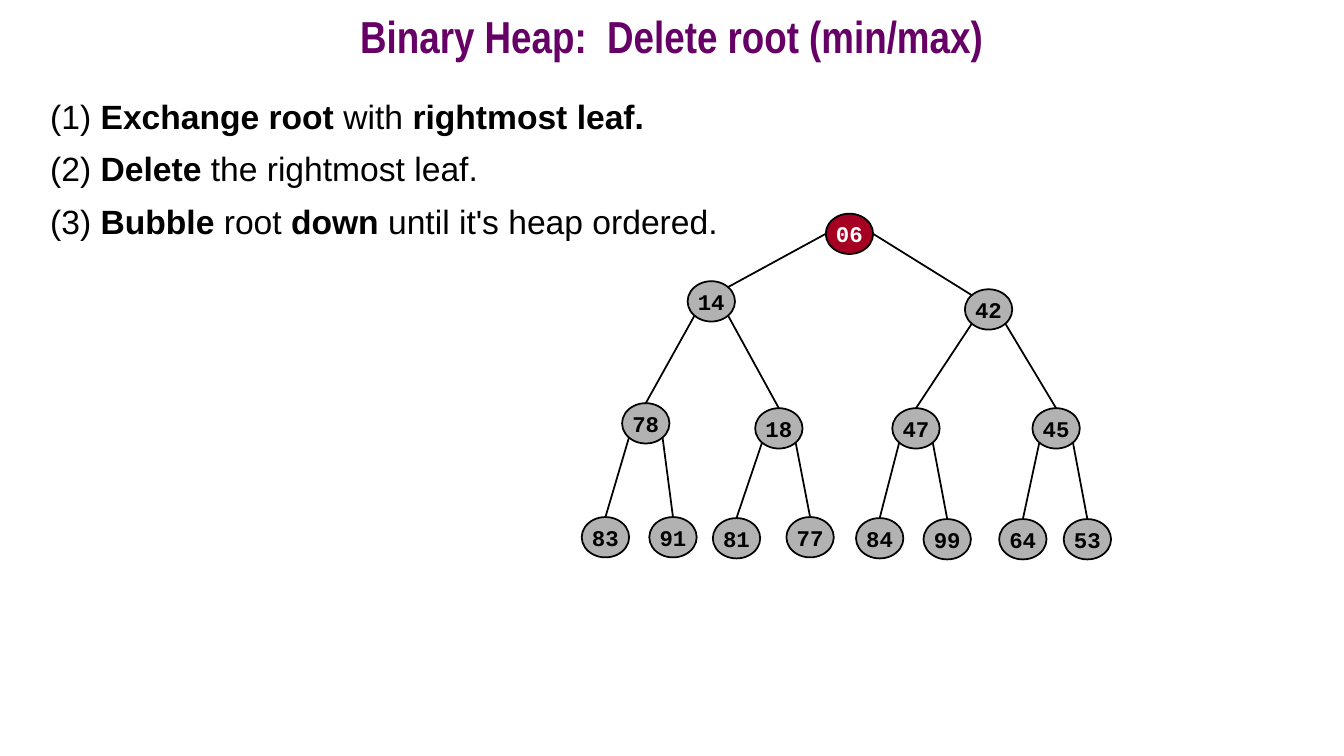
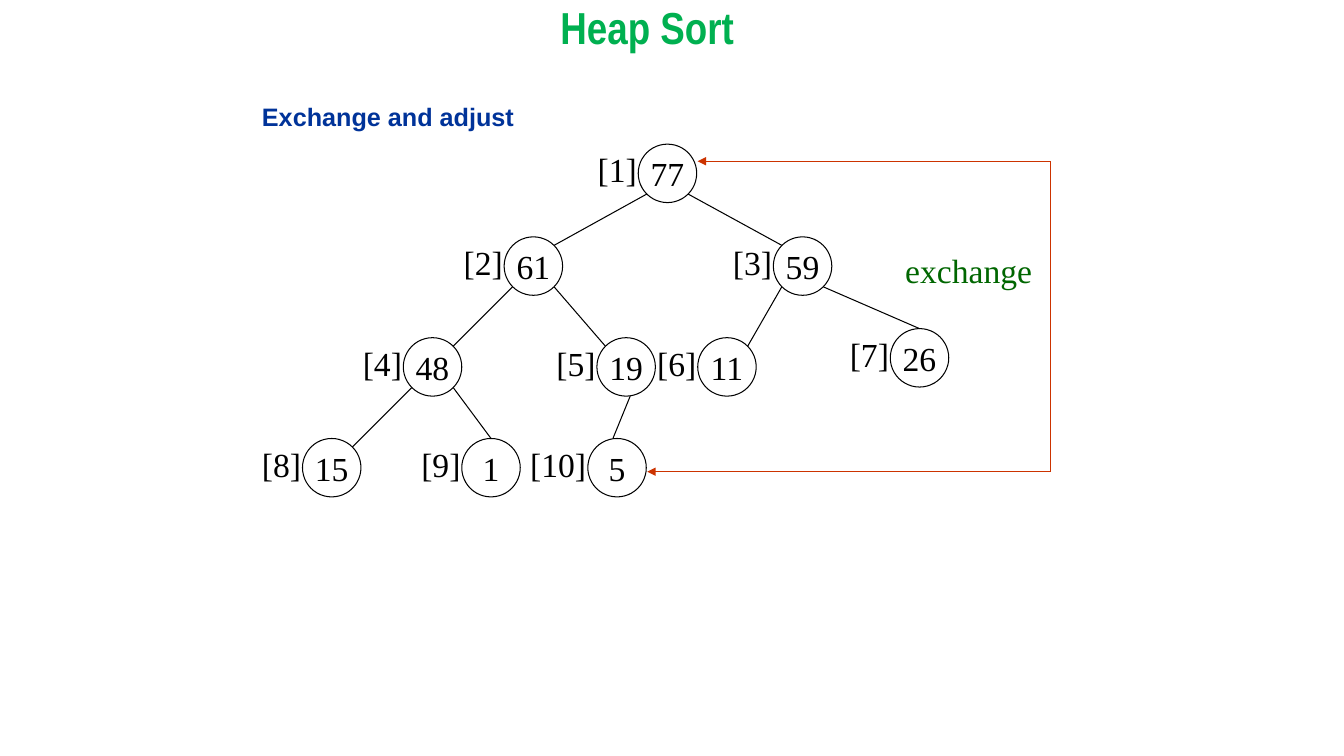
from dataclasses import dataclass

import pptx
import pptx.dml.color
import pptx.enum.shapes
import pptx.enum.text
import pptx.oxml
import pptx.oxml.ns
import pptx.util

Inches = pptx.util.Inches
Pt = pptx.util.Pt
ALIGN = pptx.enum.text.PP_ALIGN
ANCHOR = pptx.enum.text.MSO_ANCHOR


@dataclass(frozen=True)
class Theme:
    black: str = "000000"
    white: str = "FFFFFF"
    purple: str = "660066"
    green: str = "00B050"
    dark_green: str = "006600"
    blue: str = "003399"
    red: str = "A50021"
    orange: str = "CC3300"
    grey: str = "B2B2B2"
    title_font: str = "Arial Narrow"
    body_font: str = "Arial"
    code_font: str = "Courier New"
    serif_font: str = "Times New Roman"
    title_size: int = 32
    body_size: int = 24
    subhead_size: int = 18
    code_size: int = 16
    thin: float = 0.75
    medium: float = 1.25


T = Theme()


@dataclass(frozen=True)
class NodeStyle:
    width: float
    height: float
    font: str
    size: int
    line: float
    bold: bool = False
    fill: str = None
    root_fill: str = None
    root_color: str = T.black
    numbered: bool = False


GREY_NODES = NodeStyle(0.47, 0.4, T.code_font, T.code_size, T.medium, bold=True,
                       fill=T.grey, root_fill=T.red, root_color=T.white)
NUMBERED_NODES = NodeStyle(0.58, 0.58, T.serif_font, T.body_size, T.thin,
                           numbered=True)

# Points on a node's rim, as fractions of its half width and half height.
TOP = (0, -1)
LEFT = (-1, 0)
RIGHT = (1, 0)
DIAGONAL = 0.71

# Nodes in heap order: value, left, top within the tree's box.
DELETE_HEAP = [
    ("06", 2.42, 0), ("14", 1.05, 0.67), ("42", 3.8, 0.75),
    ("78", 0.4, 1.88), ("18", 1.72, 1.93), ("47", 3.08, 1.93), ("45", 4.47, 1.93),
    ("83", 0, 3.01), ("91", 0.67, 3.01), ("81", 1.3, 3.02), ("77", 2.03, 3.01),
    ("84", 2.72, 3.02), ("99", 3.39, 3.03), ("64", 4.14, 3.03), ("53", 4.78, 3.03),
]
SORT_HEAP = [
    ("77", 3.33, 0), ("61", 2, 0.92), ("59", 4.67, 0.92),
    ("48", 1, 1.92), ("19", 2.92, 1.92), ("11", 3.92, 1.92), ("26", 5.83, 1.83),
    ("15", 0, 2.92), ("1", 1.58, 2.92), ("5", 2.83, 2.92),
]

# Edges that leave the diagonal rule, by child number: (parent point, child point).
DELETE_JOINS = {2: (LEFT, None), 3: (RIGHT, None),
                **{child: (None, TOP) for child in range(4, 16)}}
SORT_JOINS = {7: (None, TOP), 9: (None, TOP), 10: ((0.14, 1), (-0.14, -1))}

STEPS = [
    [("(1) ", False), ("Exchange root", True), (" with ", False),
     ("rightmost leaf.", True)],
    [("(2) ", False), ("Delete", True), (" the rightmost leaf.", False)],
    [("(3) ", False), ("Bubble", True), (" root ", False), ("down", True),
     (" until it's heap ordered.", False)],
]


def rgb(color):
    return pptx.dml.color.RGBColor.from_string(color)


def write(p, text, font=T.body_font, size=T.body_size, color=T.black, bold=False,
          align=None):
    """Add one formatted run to a paragraph."""
    if align is not None:
        p.alignment = align
    r = p.add_run()
    r.text = text
    r.font.name = font
    r.font.size = Pt(size)
    r.font.bold = bold
    r.font.color.rgb = rgb(color)


def add_text(shapes, box, wrap=True):
    sp = shapes.add_textbox(*map(Inches, box))
    sp.text_frame.word_wrap = wrap
    return sp.text_frame


def add_line(shapes, start, end, color, width, arrow=False):
    cxn = shapes.add_connector(pptx.enum.shapes.MSO_CONNECTOR.STRAIGHT,
                               *map(Inches, (*start, *end)))
    cxn.line.color.rgb = rgb(color)
    cxn.line.width = Pt(width)
    if arrow:
        ln = cxn.line._get_or_add_ln()
        tail = pptx.oxml.parse_xml(
            f'<a:tailEnd {pptx.oxml.ns.nsdecls("a")} type="triangle"/>')
        ln.append(tail)
    cxn._element.spPr.append(
        pptx.oxml.parse_xml(f'<a:effectLst {pptx.oxml.ns.nsdecls("a")}/>'))


def add_title_slide(prs, title, box, color):
    slide = prs.slides.add_slide(prs.slide_layouts[5])
    sp = slide.shapes.title
    sp.left, sp.top, sp.width, sp.height = map(Inches, box)
    tf = sp.text_frame
    tf.auto_size = pptx.enum.text.MSO_AUTO_SIZE.NONE
    tf.vertical_anchor = ANCHOR.MIDDLE
    p = tf.paragraphs[0]
    p.line_spacing = 0.7
    write(p, title, font=T.title_font, size=T.title_size, color=color, bold=True,
          align=ALIGN.CENTER)
    return slide


def add_node(shapes, left, top, value, number, style):
    is_root = number == 1
    sp = shapes.add_shape(pptx.enum.shapes.MSO_SHAPE.OVAL,
                          *map(Inches, (left, top, style.width, style.height)))
    sp.shadow.inherit = False
    fill = style.root_fill if is_root else style.fill
    if fill:
        sp.fill.solid()
        sp.fill.fore_color.rgb = rgb(fill)
    else:
        sp.fill.background()
    sp.line.color.rgb = rgb(T.black)
    sp.line.width = Pt(style.line)
    tf = sp.text_frame
    tf.word_wrap = False
    tf.vertical_anchor = ANCHOR.MIDDLE
    write(tf.paragraphs[0], value, font=style.font, size=style.size,
          color=style.root_color if is_root else T.black, bold=style.bold,
          align=ALIGN.CENTER)
    if style.numbered:
        label = f"[{number}]"
        width = 0.08 + 0.17 * len(label)
        tf = add_text(shapes, (left + 0.09 - width, top, width, 0.5), wrap=False)
        write(tf.paragraphs[0], label, font=style.font, size=style.size)


def add_heap(shapes, left, top, nodes, joins, style):
    """Draw a binary heap: edges first, then the nodes over them."""

    def rim(number, point):
        _, x, y = nodes[number - 1]
        return (left + x + style.width / 2 * (1 + point[0]),
                top + y + style.height / 2 * (1 + point[1]))

    for child in range(2, len(nodes) + 1):
        side = -1 if child % 2 == 0 else 1
        begin, end = joins.get(child, (None, None))
        begin = begin or (side * DIAGONAL, DIAGONAL)
        end = end or (-side * DIAGONAL, -DIAGONAL)
        add_line(shapes, rim(child // 2, begin), rim(child, end), T.black, style.line)
    for number, (value, x, y) in enumerate(nodes, 1):
        add_node(shapes, left + x, top + y, value, number, style)


def add_steps(shapes, box):
    tf = add_text(shapes, box)
    for i, step in enumerate(STEPS):
        p = tf.paragraphs[0] if i == 0 else tf.add_paragraph()
        p._p.get_or_add_pPr().set("marL", str(Inches(0.12)))
        p.line_spacing = 1.1
        if i:
            p.space_before = Pt(6)
        for text, bold in step:
            write(p, text, bold=bold)


def add_exchange(shapes, left, top, width, height, root_gap):
    """Bracket from the right edge of the box to the root above and the leaf below."""
    right, bottom = left + width, top + height
    add_line(shapes, (right, bottom), (left, bottom), T.orange, T.thin, arrow=True)
    add_line(shapes, (right, bottom), (right, top), T.orange, T.thin)
    add_line(shapes, (right, top), (left + root_gap, top), T.orange, T.thin, arrow=True)
    tf = add_text(shapes, (right - 1.54, top + 0.83, 1.46, 0.5), wrap=False)
    write(tf.paragraphs[0], "exchange", font=T.serif_font, color=T.dark_green)


def delete_root_slide(prs):
    slide = add_title_slide(prs, "Binary Heap:  Delete root (min/max)",
                            (0, 0, 13.33, 0.83), T.purple)
    add_steps(slide.shapes, (0.28, 0.86, 11.44, 5.89))
    add_heap(slide.shapes, 5.77, 2.12, DELETE_HEAP, DELETE_JOINS, GREY_NODES)


def heap_sort_slide(prs):
    slide = add_title_slide(prs, "Heap Sort", (1.92, 0, 9, 0.66), T.green)
    tf = add_text(slide.shapes, (2.5, 0.96, 9, 0.45))
    write(tf.paragraphs[0], "Exchange and adjust", size=T.subhead_size,
          color=T.blue, bold=True)
    tree = slide.shapes.add_group_shape()
    add_heap(tree.shapes, 3, 1.43, SORT_HEAP, SORT_JOINS, NUMBERED_NODES)
    add_exchange(slide.shapes, 6.42, 1.6, 4, 3.08, root_gap=0.5)


def main():
    prs = pptx.Presentation()
    prs.slide_width = Inches(13.33)
    prs.slide_height = Inches(7.5)
    delete_root_slide(prs)
    heap_sort_slide(prs)
    prs.save("out.pptx")


if __name__ == "__main__":
    main()
